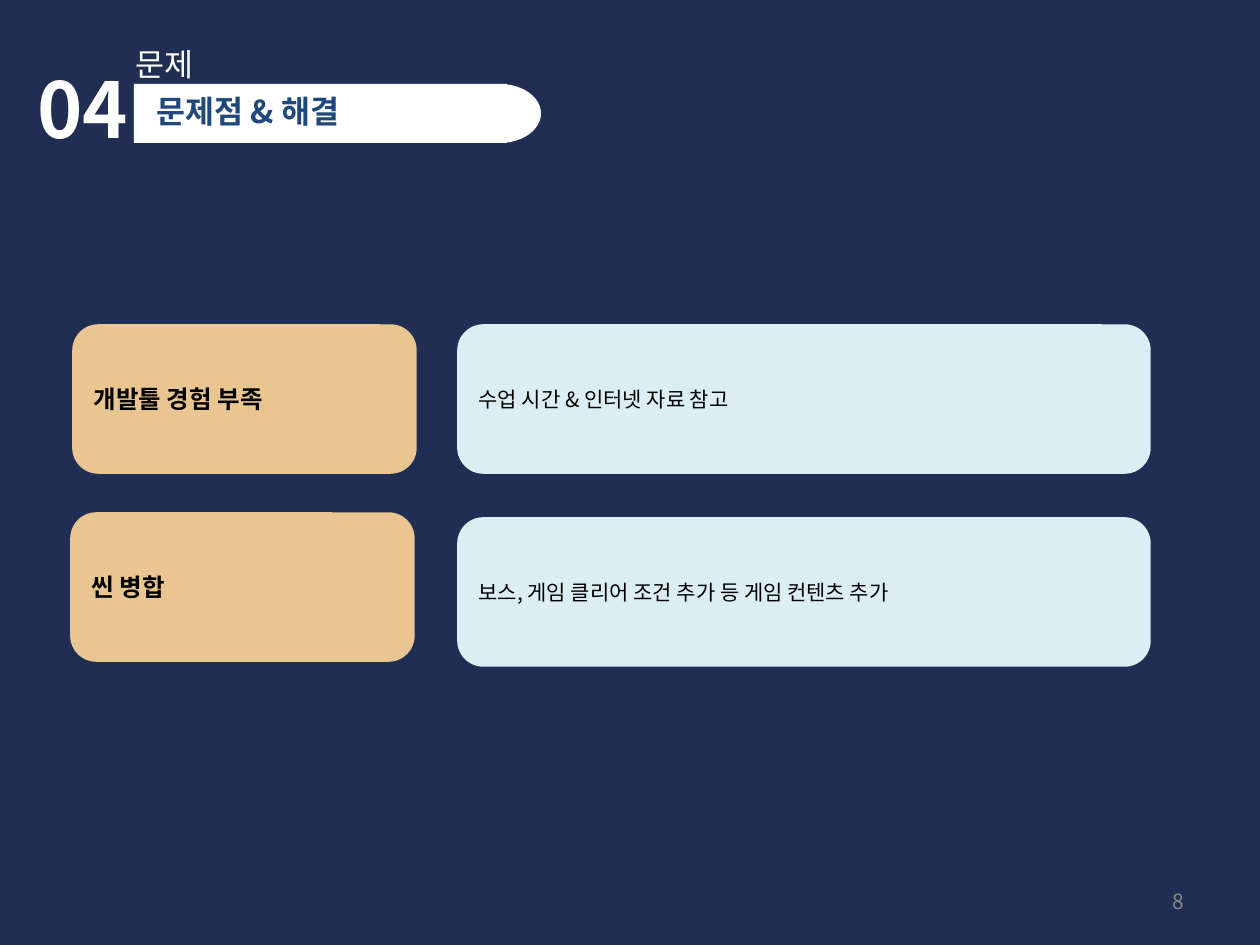
import pptx
import pptx.dml.color
import pptx.enum.shapes
import pptx.enum.text
import pptx.oxml
import pptx.oxml.ns
import pptx.util
from dataclasses import dataclass

SHAPE = pptx.enum.shapes.MSO_SHAPE
ANCHOR = pptx.enum.text.MSO_ANCHOR
ALIGN = pptx.enum.text.PP_ALIGN
PX = pptx.util.Inches(1) / 126


@dataclass(frozen=True)
class Theme:
    font: str = "Noto Sans CJK KR"
    background: str = "212E53"
    white: str = "FFFFFF"
    black: str = "000000"
    title: str = "1F497D"
    problem: str = "E9C592"
    solution: str = "DBEEF4"
    page: str = "898989"
    number_size: int = 44
    title_size: int = 18
    problem_size: int = 14
    body_size: int = 12


theme = Theme()
rgb = pptx.dml.color.RGBColor.from_string


def box(*lengths):
    return [pptx.util.Emu(round(length * PX)) for length in lengths]


def write(shape, text, size, color, bold=False, anchor=ANCHOR.TOP, align=ALIGN.LEFT):
    """Put one styled run in the shape, with the font set for Latin and Korean."""
    frame = shape.text_frame
    frame.word_wrap = True
    frame.auto_size = pptx.enum.text.MSO_AUTO_SIZE.NONE
    frame.vertical_anchor = anchor
    paragraph = frame.paragraphs[0]
    paragraph.alignment = align
    run = paragraph.add_run()
    run.text = text
    run.font.name = theme.font
    run.font.size = pptx.util.Pt(size)
    run.font.bold = bold
    run.font.color.rgb = rgb(color)
    east_asian = pptx.oxml.parse_xml(
        f'<a:ea {pptx.oxml.ns.nsdecls("a")} typeface="{theme.font}"/>')
    run.font._element.find(pptx.oxml.ns.qn("a:latin")).addnext(east_asian)


presentation = pptx.Presentation()
presentation.slide_width, presentation.slide_height = box(1260, 945)
slide = presentation.slides.add_slide(presentation.slide_layouts[5])
slide.background.fill.solid()
slide.background.fill.fore_color.rgb = rgb(theme.background)
shapes = slide.shapes

# Problem and solution cards
cards = [
    (74, 326, 341, "개발툴 경험 부족", theme.problem, theme.problem_size, True),
    (459, 326, 690, "수업 시간 & 인터넷 자료 참고", theme.solution, theme.body_size, False),
    (72, 514, 341, "씬 병합", theme.problem, theme.problem_size, True),
    (459, 519, 690, "보스, 게임 클리어 조건 추가 등 게임 컨텐츠 추가",
     theme.solution, theme.body_size, False),
]
for left, top, width, text, color, size, bold in cards:
    card = shapes.add_shape(SHAPE.ROUNDED_RECTANGLE, *box(left, top, width, 146))
    card.shadow.inherit = False
    card.fill.solid()
    card.fill.fore_color.rgb = rgb(color)
    card.line.color.rgb = rgb(color)
    card.line.width = pptx.util.Pt(2)
    write(card, text, size, theme.black, bold, ANCHOR.MIDDLE)

# Title banner: a bar with a rounded right end
banner = shapes.add_group_shape()
for kind, left, width in [(SHAPE.RECTANGLE, 134, 373), (SHAPE.OVAL, 459, 82)]:
    part = banner.shapes.add_shape(kind, *box(left, 84, width, 59))
    part.shadow.inherit = False
    part.fill.solid()
    part.fill.fore_color.rgb = rgb(theme.white)
    part.line.fill.background()

# The title goes in front of its banner
title = shapes.title
title.left, title.top, title.width, title.height = box(144, 86, 368, 50)
shapes._spTree.append(title._element)
write(title, "문제점 & 해결", theme.title_size, theme.title, True)

number = shapes.add_textbox(*box(25, 55, 139, 106))
write(number, "04", theme.number_size, theme.white, True)

section = shapes.add_textbox(*box(123, 39, 282, 50))
write(section, "문제", theme.title_size, theme.white)

page = shapes.add_textbox(*box(903, 876, 294, 50))
write(page, "8", theme.body_size, theme.page, anchor=ANCHOR.MIDDLE, align=ALIGN.RIGHT)

presentation.save("out.pptx")
